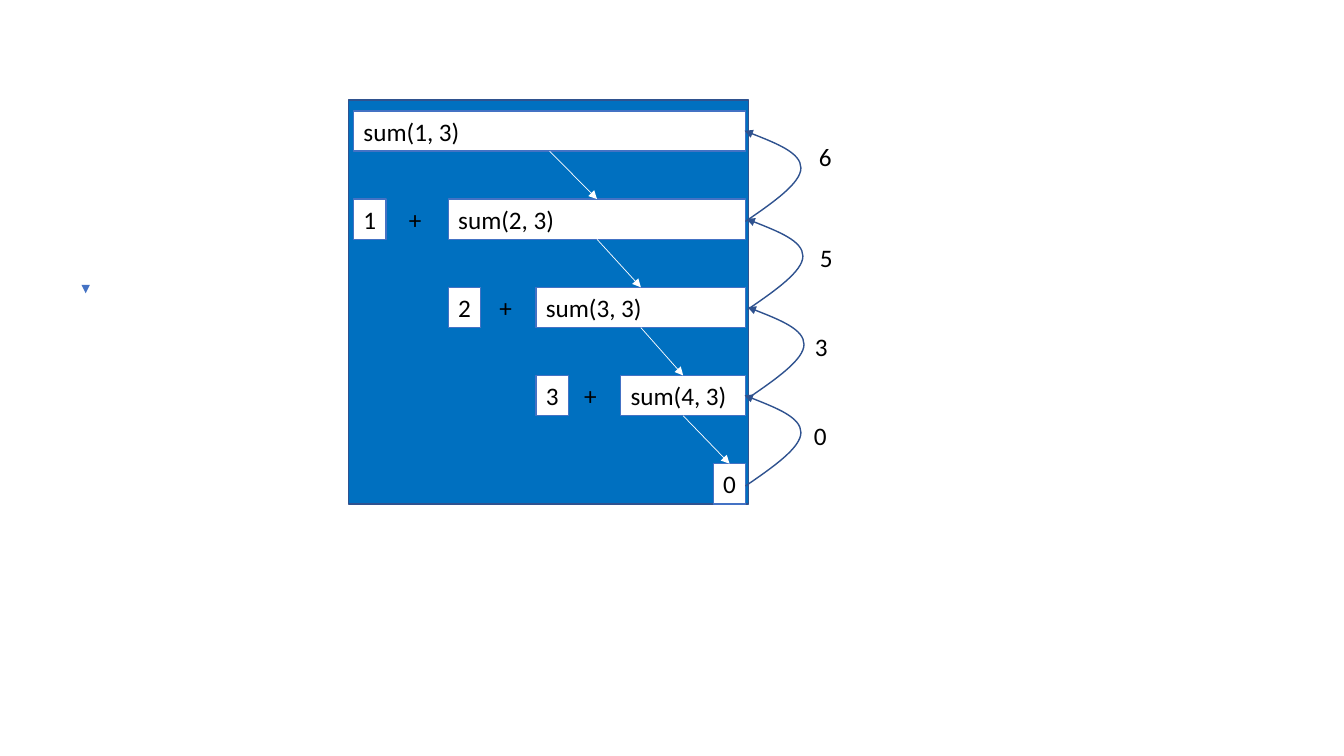
from lxml.etree import SubElement
from pptx import Presentation
from pptx.dml.color import RGBColor
from pptx.enum.shapes import MSO_CONNECTOR, MSO_SHAPE
from pptx.enum.text import MSO_ANCHOR, MSO_AUTO_SIZE
from pptx.oxml.ns import qn
from pptx.util import Pt

COLORS = {"panel": "0070C0", "dark": "2F528F", "border": "4472C4",
          "white": "FFFFFF", "black": "000000"}
ROW_TOP, ROW_STEP, ROW_HEIGHT = 79.2, 63, 28.8
ROW_RIGHT, DIGIT_WIDTH = 533, 23.2
CALLS = [("sum(1, 3)", 252.7), ("sum(2, 3)", 320.4),
         ("sum(3, 3)", 383), ("sum(4, 3)", 443.5)]
PLUS_LEFTS = [285.1, 349.9, 410.4]
# Value, label left, label top, and where the curve starts; top to bottom
RETURNS = [("6", 578.2, 97.2, 532.8), ("5", 578.9, 169.9, 534.2),
           ("3", 575.3, 233.3, 535), ("0", 574.6, 296.6, 532.8)]
# Two cubic segments, as offsets from the start of the curve
CURVE = [(20, -13.7), (39.6, -27.4), (39.6, -38.2),
         (39.6, -49), (19.4, -56.9), (-0.7, -64.8)]


def rgb(name):
    return RGBColor.from_string(COLORS[name])


def style_line(shape, color, width, arrow=False):
    shape.line.color.rgb = rgb(color)
    shape.line.width = Pt(width)
    if arrow:
        SubElement(shape.line._get_or_add_ln(), qn("a:tailEnd"), type="triangle")


def add_text(slide, text, left, top, width, boxed=False, wrap=True,
             size=18, font="Calibri", color="black"):
    shape = slide.shapes.add_textbox(Pt(left), Pt(top), Pt(width), Pt(ROW_HEIGHT))
    if boxed:
        shape.fill.solid()
        shape.fill.fore_color.rgb = rgb("white")
        style_line(shape, "border", 1)
    frame = shape.text_frame
    frame.word_wrap = wrap
    frame.auto_size = MSO_AUTO_SIZE.SHAPE_TO_FIT_TEXT
    frame.vertical_anchor = MSO_ANCHOR.TOP
    run = frame.paragraphs[0].add_run()
    run.text = text
    run.font.size = Pt(size)
    run.font.name = font
    run.font.color.rgb = rgb(color)
    return shape


def add_digit(slide, text, left, top):
    return add_text(slide, text, left, top, DIGIT_WIDTH, boxed=True, wrap=False)


def add_panel(slide):
    panel = slide.shapes.add_shape(MSO_SHAPE.RECTANGLE, Pt(249.1), Pt(71.3),
                                   Pt(285.8), Pt(288.7))
    panel.shadow.inherit = False
    panel.fill.solid()
    panel.fill.fore_color.rgb = rgb("panel")
    style_line(panel, "dark", 1)


def add_arrow(slide, start, end, color):
    arrow = slide.shapes.add_connector(
        MSO_CONNECTOR.STRAIGHT, *(Pt(value) for value in (*start, *end)))
    style_line(arrow, color, 0.5, arrow=True)
    SubElement(arrow._element.spPr, qn("a:effectLst"))
    return arrow


def join_boxes(slide, upper, lower):
    arrow = add_arrow(slide, (0, 0), (0, 0), "white")
    arrow.begin_connect(upper, 2)
    arrow.end_connect(lower, 0)


def add_return_curve(slide, left, top):
    builder = slide.shapes.build_freeform(Pt(left), Pt(top))
    builder.add_line_segments(
        [(Pt(left + dx), Pt(top + dy)) for dx, dy in CURVE], close=False)
    shape = builder.convert_to_shape()
    outline = shape._element.find(".//" + qn("a:path"))
    lines = outline.findall(qn("a:lnTo"))
    for first in range(0, len(lines), 3):
        bezier = SubElement(outline, qn("a:cubicBezTo"))
        for line in lines[first:first + 3]:
            bezier.append(line[0])
            outline.remove(line)
    shape.shadow.inherit = False
    shape.fill.background()
    style_line(shape, "dark", 1, arrow=True)


def main():
    presentation = Presentation()
    presentation.slide_width, presentation.slide_height = Pt(960.5), Pt(540)
    slide = presentation.slides.add_slide(presentation.slide_layouts[6])

    add_panel(slide)
    tops = [ROW_TOP + ROW_STEP * row for row in range(len(CALLS) + 1)]
    boxes = [add_text(slide, text, left, top, ROW_RIGHT - left, boxed=True)
             for (text, left), top in zip(CALLS, tops)]
    boxes.append(add_digit(slide, "0", ROW_RIGHT - DIGIT_WIDTH, tops[-1]))

    for row, plus_left in enumerate(PLUS_LEFTS, start=1):
        add_digit(slide, str(row), CALLS[row - 1][1], tops[row])
        add_text(slide, "+", plus_left, tops[row], 21.6)
    for upper, lower in zip(boxes, boxes[1:]):
        join_boxes(slide, upper, lower)
    add_arrow(slide, (61.2, 207.4), (61.2, 209.5), "border")

    for (value, left, top, curve_left), row_top in zip(RETURNS, tops[1:]):
        add_return_curve(slide, curve_left, row_top + 16)
        add_text(slide, value, left, top, 27)

    presentation.save("out.pptx")


if __name__ == "__main__":
    main()
